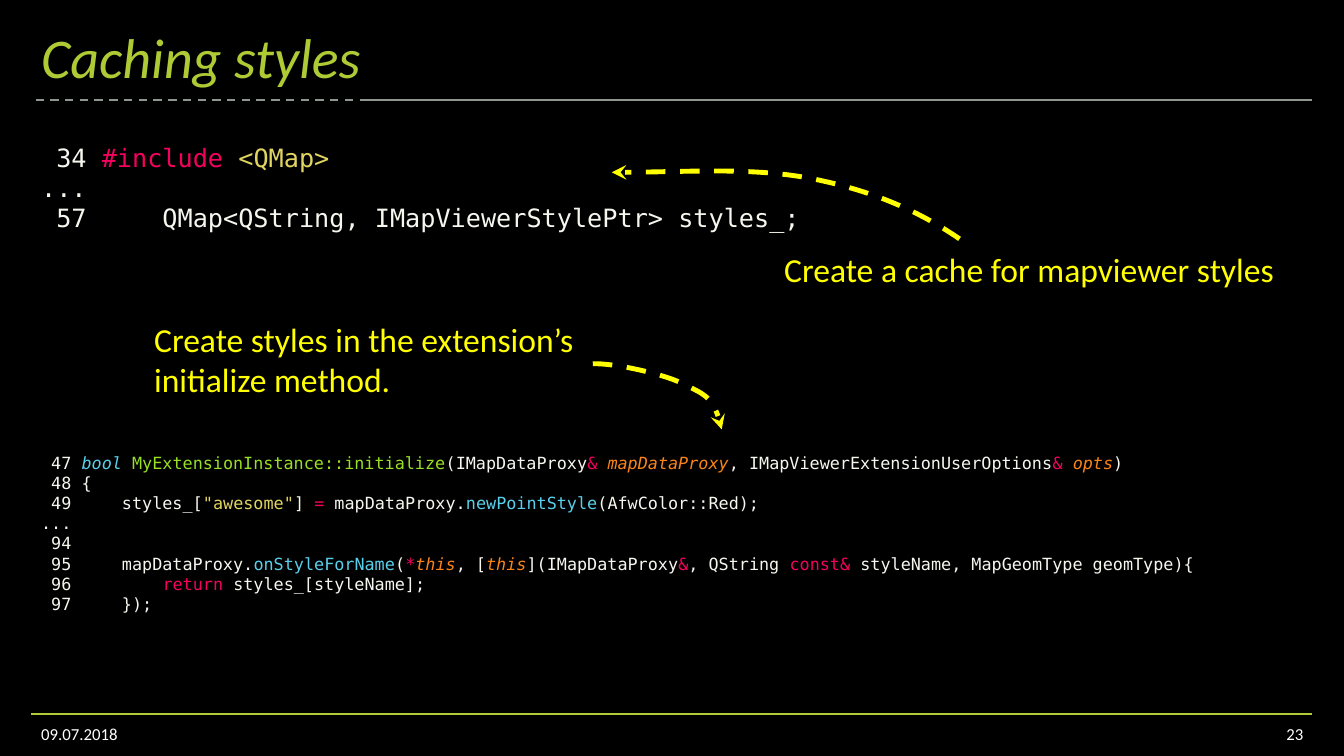
import itertools
from dataclasses import dataclass

import lxml.etree
import pptx
import pptx.dml.color
import pptx.enum.dml
import pptx.enum.text
import pptx.oxml.ns
import pptx.slide
import pptx.text.text
import pptx.util

NBSP = chr(160)
LEFT, RIGHT = 22.3, 937.4
RULE_Y, FOOTER_Y = 71.3, 509.8

ALIGN = pptx.enum.text.PP_ALIGN
ANCHOR = pptx.enum.text.MSO_ANCHOR
AUTO_SIZE = pptx.enum.text.MSO_AUTO_SIZE
DASH = pptx.enum.dml.MSO_LINE.DASH
qn = pptx.oxml.ns.qn


@dataclass(frozen=True)
class Theme:
    background: str = "000000"
    accent: str = "AECB35"
    rule: str = "8F968F"
    footer: str = "FFFFFF"
    note: str = "FFFF00"
    code: str = "F6F6EF"
    keyword: str = "F4005F"
    string: str = "E1D561"
    call: str = "59D0EB"
    definition: str = "98E024"
    parameter: str = "FA8419"
    text_font: str = "Calibri"
    code_font: str = "DejaVu Sans Mono"
    title_size: float = 40
    note_size: float = 24
    large_code_size: float = 18
    small_size: float = 12
    rule_width: float = 1.5
    arrow_width: float = 3.5


THEME = Theme()


@dataclass(frozen=True)
class Span:
    text: str
    color: str = THEME.code
    italic: bool = False


@dataclass(frozen=True)
class CodeLine:
    number: int | None
    indent: int = 0
    spans: tuple[Span, ...] = ()


@dataclass(frozen=True)
class Rule:
    start: float
    end: float
    y: float
    color: str
    dashed: bool = False


@dataclass(frozen=True)
class Arrow:
    """A chain of cubic curves: a start, then two controls and an end per curve."""
    points: tuple[tuple[float, float], ...]


@dataclass(frozen=True)
class Box:
    left: float
    top: float
    width: float
    height: float


def keyword(text: str) -> Span:
    return Span(text, THEME.keyword)


def parameter(text: str) -> Span:
    return Span(text, THEME.parameter, italic=True)


RULES = (
    Rule(RIGHT, 262.8, RULE_Y, THEME.rule),
    Rule(262.8, LEFT, RULE_Y, THEME.rule, dashed=True),
    Rule(RIGHT, LEFT, FOOTER_Y, THEME.accent),
)

ARROWS = (
    Arrow(((685.4, 170.6), (653.8, 149), (619.9, 135.4), (578.9, 127.4),
           (537.1, 119.5), (487.4, 123.1), (437, 123.1))),
    Arrow(((423.4, 259.9), (437, 259.2), (471.6, 266.4), (486.7, 273.6),
           (502.6, 281.5), (510.5, 283.7), (515.5, 306.7))),
)

CACHE_CODE = (
    CodeLine(34, 0, (keyword("#include "), Span("<QMap>", THEME.string))),
    CodeLine(None),
    CodeLine(57, 4, (Span("QMap<QString, IMapViewerStylePtr> styles_;"),)),
)

INITIALIZE_CODE = (
    CodeLine(47, 0, (
        Span("bool ", THEME.call, italic=True),
        Span("MyExtensionInstance::initialize", THEME.definition),
        Span("(IMapDataProxy"), keyword("& "), parameter("mapDataProxy"),
        Span(", IMapViewerExtensionUserOptions"), keyword("& "), parameter("opts"), Span(")"))),
    CodeLine(48, 0, (Span("{"),)),
    CodeLine(49, 4, (
        Span("styles_["), Span('"awesome"', THEME.string), Span("] "), keyword("="),
        Span(" mapDataProxy."), Span("newPointStyle", THEME.call), Span("(AfwColor::Red);"))),
    CodeLine(None),
    CodeLine(94),
    CodeLine(95, 4, (
        Span("mapDataProxy."), Span("onStyleForName", THEME.call), Span("("), keyword("*"),
        parameter("this"), Span(", ["), parameter("this"), Span("](IMapDataProxy"), keyword("&"),
        Span(", QString "), keyword("const&"), Span(" styleName, MapGeomType geomType){"))),
    CodeLine(96, 8, (keyword("return"), Span(" styles_[styleName];"))),
    CodeLine(97, 4, (Span("});"),)),
)


def rgb(color: str) -> pptx.dml.color.RGBColor:
    return pptx.dml.color.RGBColor.from_string(color)


def numbered(line: CodeLine) -> tuple[Span, ...]:
    """Put the line number and indent, or an ellipsis, before the code."""
    if line.number is None:
        return (Span("..."),)
    gap = NBSP * line.indent + " " if line.indent else NBSP
    return (Span(f"{NBSP}{line.number}{gap}"), *line.spans)


def add_text(slide: pptx.slide.Slide, box: Box, paragraphs: list[tuple[Span, ...]], *,
             size: float, font: str = THEME.text_font, align: ALIGN = ALIGN.LEFT,
             anchor: ANCHOR = ANCHOR.TOP, wrap: bool = True, grow: bool = False,
             line_spacing: float | None = None) -> None:
    lengths = map(pptx.util.Pt, (box.left, box.top, box.width, box.height))
    frame = slide.shapes.add_textbox(*lengths).text_frame
    frame.word_wrap = wrap
    frame.vertical_anchor = anchor
    frame.auto_size = AUTO_SIZE.SHAPE_TO_FIT_TEXT if grow else AUTO_SIZE.NONE
    for index, spans in enumerate(paragraphs):
        paragraph = frame.add_paragraph() if index else frame.paragraphs[0]
        paragraph.alignment = align
        paragraph.line_spacing = line_spacing
        for span in spans:
            run = paragraph.add_run()
            run.text = span.text
            run.font.name = font
            run.font.size = pptx.util.Pt(size)
            run.font.italic = span.italic
            run.font.color.rgb = rgb(span.color)


def add_code(slide: pptx.slide.Slide, box: Box, lines: tuple[CodeLine, ...], size: float) -> None:
    add_text(slide, box, [numbered(line) for line in lines],
             size=size, font=THEME.code_font, grow=True)


def add_rule(slide: pptx.slide.Slide, rule: Rule) -> None:
    ends = map(pptx.util.Pt, (rule.start, rule.y, rule.end, rule.y))
    connector = slide.shapes.add_connector(pptx.enum.shapes.MSO_CONNECTOR.STRAIGHT, *ends)
    connector.line.color.rgb = rgb(rule.color)
    connector.line.width = pptx.util.Pt(THEME.rule_width)
    if rule.dashed:
        connector.line.dash_style = DASH
    lxml.etree.SubElement(connector.element.spPr, qn("a:effectLst"))


def add_arrow(slide: pptx.slide.Slide, arrow: Arrow) -> None:
    start, *rest = [(pptx.util.Pt(x), pptx.util.Pt(y)) for x, y in arrow.points]
    builder = slide.shapes.build_freeform(*start)
    builder.add_line_segments(rest, close=False)
    curve = builder.convert_to_shape()
    curve.shadow.inherit = False
    curve.fill.background()
    curve.line.color.rgb = rgb(THEME.note)
    curve.line.width = pptx.util.Pt(THEME.arrow_width)
    curve.line.dash_style = DASH
    outline = curve.element.spPr.find(qn("a:ln"))
    lxml.etree.SubElement(outline, qn("a:tailEnd")).set("type", "stealth")

    # Each three straight segments become one cubic curve.
    route = next(curve.element.iter(qn("a:path")))
    segments = iter(route.findall(qn("a:lnTo")))
    while triple := list(itertools.islice(segments, 3)):
        bezier = lxml.etree.SubElement(route, qn("a:cubicBezTo"))
        for segment in triple:
            bezier.append(segment[0])
            route.remove(segment)


def main() -> None:
    deck = pptx.Presentation()
    deck.slide_width, deck.slide_height = pptx.util.Pt(960), pptx.util.Pt(540)
    slide = deck.slides.add_slide(deck.slide_layouts[6])
    slide.background.fill.solid()
    slide.background.fill.fore_color.rgb = rgb(THEME.background)

    for rule in RULES:
        add_rule(slide, rule)
    add_text(slide, Box(LEFT, 14.4, 871.9, 56.9), [(Span("Caching styles", THEME.accent, True),)],
             size=THEME.title_size, anchor=ANCHOR.MIDDLE, line_spacing=0.9)
    for left, width, text, align in ((LEFT, 216, "09.07.2018", ALIGN.LEFT),
                                     (792.7, 145.4, "23", ALIGN.RIGHT)):
        add_text(slide, Box(left, FOOTER_Y, width, 28.8), [(Span(text, THEME.footer),)],
                 size=THEME.small_size, align=align, anchor=ANCHOR.MIDDLE)

    add_code(slide, Box(LEFT, 97.9, 588.2, 94.3), CACHE_CODE, THEME.large_code_size)
    add_code(slide, Box(LEFT, 319.7, 846, 123.8), INITIALIZE_CODE, THEME.small_size)
    for arrow in ARROWS:
        add_arrow(slide, arrow)
    for box, note, wrap in (
            (Box(553, 174.2, 367.9, 36), "Create a cache for mapviewer styles", False),
            (Box(103, 223.9, 336.2, 65.5),
             "Create styles in the extension’s initialize method.", True)):
        add_text(slide, box, [(Span(note, THEME.note),)],
                 size=THEME.note_size, wrap=wrap, grow=True)

    deck.save("out.pptx")


if __name__ == "__main__":
    main()
